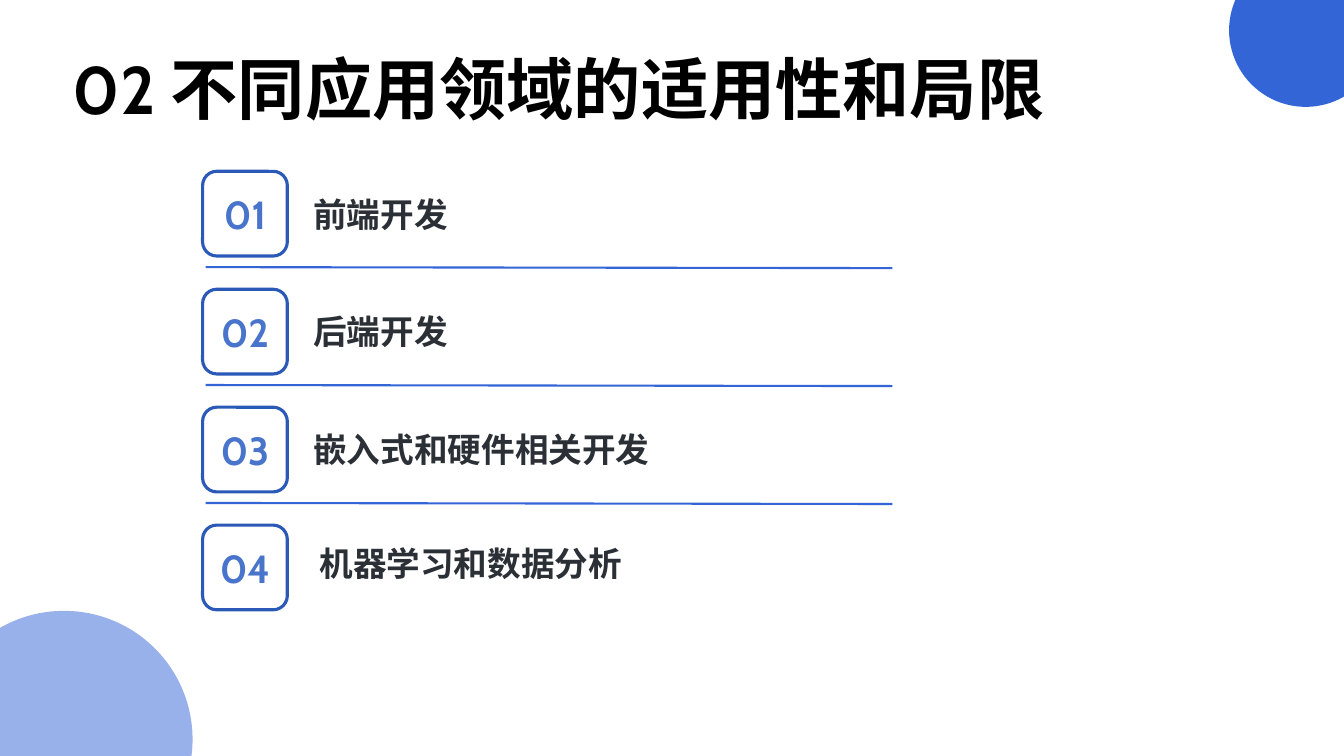
"""Builds the slide on how suitable each application field is."""
import pptx
import pptx.util
import pptx.dml.color
import pptx.enum.shapes
import pptx.enum.text
import pptx.oxml.ns
import lxml.etree

Inches = pptx.util.Inches
Align = pptx.enum.text.PP_ALIGN
Anchor = pptx.enum.text.MSO_ANCHOR
Fit = pptx.enum.text.MSO_AUTO_SIZE
Shape = pptx.enum.shapes.MSO_SHAPE

FIELDS = [
    ("前端开发", 0, 0),
    ("后端开发", 0, 0),
    ("嵌入式和硬件相关开发", 0, 0),
    ("机器学习和数据分析", 0.06, -0.04),
]
FIRST_TOP = 1.7
ROW_PITCH = 1.17
BADGE_SIZE = 0.84


def paint(color_format, hex_color):
    """Give a fill, line or font colour its hex value."""
    color_format.rgb = pptx.dml.color.RGBColor.from_string(hex_color)


def write(frame, text, size, color, align=Align.LEFT, anchor=Anchor.TOP, fit=Fit.NONE):
    """Put one bold paragraph into a text frame."""
    frame.word_wrap = True
    frame.auto_size = fit
    frame.vertical_anchor = anchor
    paragraph = frame.paragraphs[0]
    paragraph.alignment = align
    paragraph.line_spacing = 1.0
    run = paragraph.add_run()
    run.text = text
    run.font.name = "Cabin"
    run.font.size = pptx.util.Pt(size)
    run.font.bold = True
    paint(run.font.color, color)


def add_title(slide, text):
    """Move and fill the title placeholder."""
    title = slide.shapes.title
    title.left, title.top = Inches(0.62), Inches(0.42)
    title.width, title.height = Inches(10.67), Inches(1.07)
    write(title.text_frame, text, 48, "000000")


def add_circle(slide, left, top, diameter, color, opacity=100):
    """Draw a corner circle, see-through if opacity is below 100."""
    circle = slide.shapes.add_shape(
        Shape.OVAL, Inches(left), Inches(top), Inches(diameter), Inches(diameter))
    circle.shadow.inherit = False
    circle.fill.solid()
    paint(circle.fill.fore_color, color)
    circle.line.fill.background()
    if opacity < 100:
        tint = circle.fill._xPr.find(".//" + pptx.oxml.ns.qn("a:srgbClr"))
        alpha = lxml.etree.SubElement(tint, pptx.oxml.ns.qn("a:alpha"))
        alpha.set("val", str(opacity * 1000))


def add_badge(slide, top, number):
    """Draw a rounded outline holding a row number."""
    badge = slide.shapes.add_shape(
        Shape.ROUNDED_RECTANGLE, Inches(2.01), Inches(top),
        Inches(BADGE_SIZE), Inches(BADGE_SIZE))
    badge.shadow.inherit = False
    badge.fill.background()
    paint(badge.line.color, "2A59B8")
    badge.line.width = pptx.util.Pt(2.25)
    write(badge.text_frame, f"{number:02d}", 28, "4874CB",
          align=Align.CENTER, anchor=Anchor.MIDDLE)


def add_label(slide, left, top, text):
    """Add the name of a field."""
    label = slide.shapes.add_textbox(Inches(left), Inches(top), Inches(6.5), Inches(0.5))
    write(label.text_frame, text, 24, "2B2F36",
          align=Align.JUSTIFY, fit=Fit.SHAPE_TO_FIT_TEXT)


def add_divider(slide, top):
    """Draw the line between two rows."""
    divider = slide.shapes.add_connector(
        pptx.enum.shapes.MSO_CONNECTOR.STRAIGHT,
        Inches(2.04), Inches(top), Inches(8.85), Inches(top + 0.01))
    paint(divider.line.color, "3365D6")
    divider.line.width = pptx.util.Pt(1.5)
    lxml.etree.SubElement(divider._element.spPr, pptx.oxml.ns.qn("a:effectLst"))


def main():
    """Build and save the slide."""
    deck = pptx.Presentation()
    deck.slide_width, deck.slide_height = Inches(13.33), Inches(7.5)
    slide = deck.slides.add_slide(deck.slide_layouts.get_by_name("Title Only"))

    add_title(slide, "02 不同应用领域的适用性和局限")
    add_circle(slide, -0.64, 6.06, 2.55, "3365D6", opacity=50)
    add_circle(slide, 12.19, -0.46, 1.52, "3365D6")
    for index, (field, shift_x, shift_y) in enumerate(FIELDS):
        top = FIRST_TOP + index * ROW_PITCH
        add_badge(slide, top, index + 1)
        add_label(slide, 3.01 + shift_x, top + 0.17 + shift_y, field)
        if index < len(FIELDS) - 1:
            add_divider(slide, top + 0.95)

    deck.save("out.pptx")


if __name__ == "__main__":
    main()
